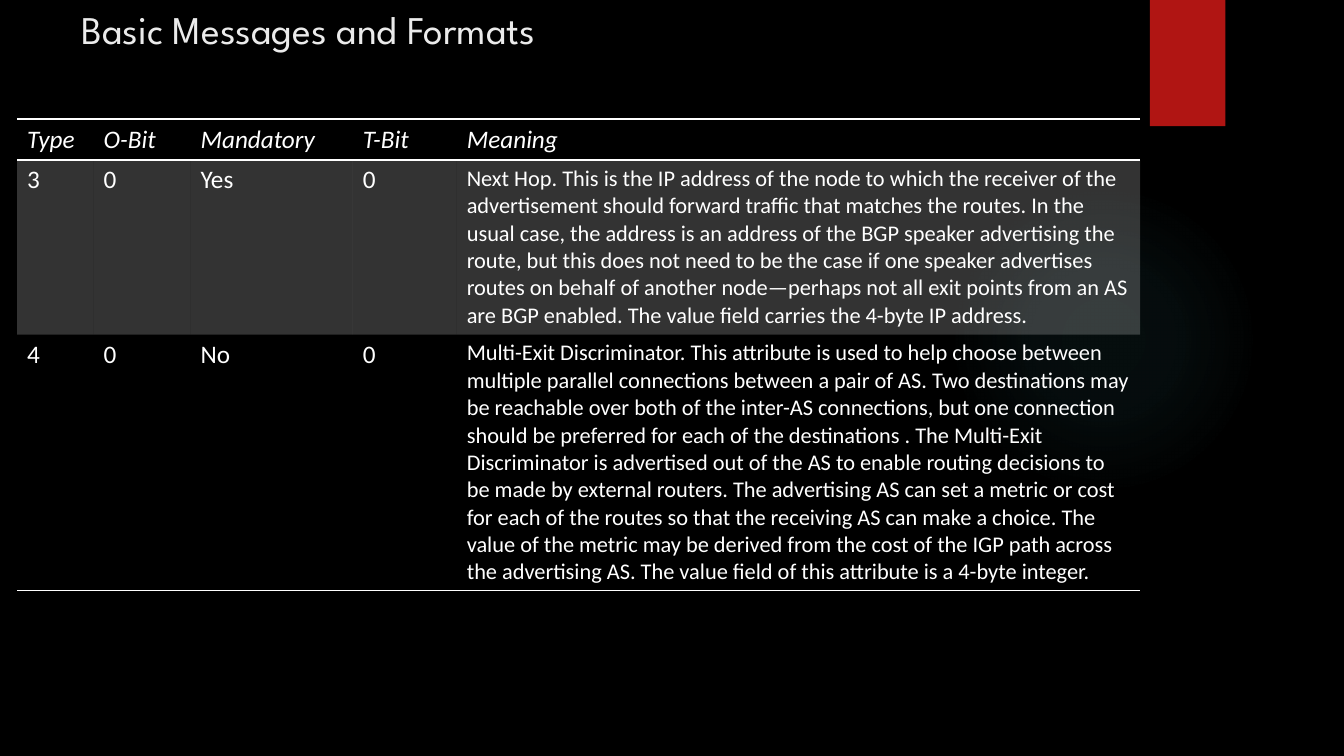
import lxml.etree
import pptx
import pptx.dml.color
import pptx.enum.shapes
import pptx.enum.text
import pptx.oxml
import pptx.oxml.ns
import pptx.util

Cm = pptx.util.Cm
qn = pptx.oxml.ns.qn

WHITE = "FFFFFF"
TEAL = "50B9C1"
COLUMN_WIDTHS = [1.93, 2.44, 4.09, 2.62, 17.22]
ROW_HEIGHTS = [1.03, 4.4, 6.45]
ROWS = [
    ["Type", "O-Bit", "Mandatory", "T-Bit", "Meaning"],
    ["3", "0", "Yes", "0",
     "Next Hop. This is the IP address of the node to which the receiver of the "
     "advertisement should forward traffic that matches the routes. In the usual case, "
     "the address is an address of the BGP speaker advertising the route, but this does "
     "not need to be the case if one speaker advertises routes on behalf of another "
     "node—perhaps not all exit points from an AS are BGP enabled. The value field "
     "carries the 4-byte IP address."],
    ["4", "0", "No", "0",
     "Multi-Exit Discriminator. This attribute is used to help choose between multiple "
     "parallel connections between a pair of AS. Two destinations may be reachable over "
     "both of the inter-AS connections, but one connection should be preferred for each "
     "of the destinations . The Multi-Exit Discriminator is advertised out of the AS to "
     "enable routing decisions to be made by external routers. The advertising AS can set "
     "a metric or cost for each of the routes so that the receiving AS can make a choice. "
     "The value of the metric may be derived from the cost of the IGP path across the "
     "advertising AS. The value field of this attribute is a 4-byte integer."],
]


def color(value):
    return pptx.dml.color.RGBColor.from_string(value)


def write_text(text_frame, text, font="Calibri", size=18, fill=WHITE, italic=False):
    run = text_frame.paragraphs[0].add_run()
    run.text = text
    run.font.name = font
    run.font.size = pptx.util.Pt(size)
    run.font.color.rgb = color(fill)
    run.font.italic = italic
    run.font.bold = False


def add_plain_shape(slide, kind, left, top, width, height, fill):
    shape = slide.shapes.add_shape(kind, Cm(left), Cm(top), Cm(width), Cm(height))
    shape.shadow.inherit = False
    shape.line.fill.background()
    shape.fill.solid()
    shape.fill.fore_color.rgb = color(fill)
    return shape


def add_glow(slide):
    glow = add_plain_shape(slide, pptx.enum.shapes.MSO_SHAPE.OVAL, 23.9, 4.65, 7.82, 7.82, TEAL)
    stops = "".join(
        f'<a:gs pos="{position * 1000}"><a:srgbClr val="{TEAL}">'
        f'<a:alpha val="{opacity * 1000}"/></a:srgbClr></a:gs>'
        for position, opacity in [(0, 7), (36, 6), (69, 0), (100, 0)]
    )
    gradient = pptx.oxml.parse_xml(
        f'<a:gradFill {pptx.oxml.ns.nsdecls("a")}><a:gsLst>{stops}</a:gsLst>'
        '<a:path path="circle"><a:fillToRect l="50000" t="50000" r="50000" b="50000"/></a:path>'
        "</a:gradFill>"
    )
    properties = glow.element.spPr
    properties.replace(properties.find(qn("a:solidFill")), gradient)


def add_title(slide, text):
    box = slide.shapes.add_textbox(Cm(1.8), Cm(0), Cm(26.14), Cm(2.36))
    box.text_frame.word_wrap = True
    box.text_frame.vertical_anchor = pptx.enum.text.MSO_ANCHOR.TOP
    write_text(box.text_frame, text, font="League Spartan", size=28, fill="EBEBEB")


def set_borders(cell, visible):
    properties = cell._tc.get_or_add_tcPr()
    for index, side in enumerate("LRTB"):
        line = lxml.etree.Element(qn(f"a:ln{side}"), w="12700")
        if side in visible:
            paint = lxml.etree.SubElement(line, qn("a:solidFill"))
            lxml.etree.SubElement(paint, qn("a:srgbClr"), val=WHITE)
        else:
            lxml.etree.SubElement(line, qn("a:noFill"))
        properties.insert(index, line)


def fill_cell(cell, shaded):
    if not shaded:
        cell.fill.background()
        return
    cell.fill.solid()
    cell.fill.fore_color.rgb = color(WHITE)
    paint = cell._tc.tcPr.find(qn("a:solidFill"))[0]
    lxml.etree.SubElement(paint, qn("a:alpha"), val="20000")


def add_attribute_table(slide):
    frame = slide.shapes.add_table(
        len(ROWS), len(COLUMN_WIDTHS), Cm(0.43), Cm(3),
        Cm(sum(COLUMN_WIDTHS)), Cm(sum(ROW_HEIGHTS)),
    )
    table = frame.table
    table.first_row = False
    table.horz_banding = False
    for column, width in zip(table.columns, COLUMN_WIDTHS):
        column.width = Cm(width)
    for row, height in zip(table.rows, ROW_HEIGHTS):
        row.height = Cm(height)
    borders = ["TB", "T", "B"]
    for row_index, texts in enumerate(ROWS):
        header = row_index == 0
        for column_index, text in enumerate(texts):
            cell = table.cell(row_index, column_index)
            long_text = not header and column_index == len(texts) - 1
            write_text(cell.text_frame, text, size=16 if long_text else 18, italic=header)
            fill_cell(cell, shaded=row_index == 1)
            set_borders(cell, borders[row_index])


def main():
    presentation = pptx.Presentation()
    presentation.slide_width = Cm(33.87)
    presentation.slide_height = Cm(19.05)
    slide = presentation.slides.add_slide(presentation.slide_layouts[6])
    slide.background.fill.solid()
    slide.background.fill.fore_color.rgb = color("000000")
    add_glow(slide)
    add_plain_shape(slide, pptx.enum.shapes.MSO_SHAPE.RECTANGLE, 28.98, 0, 1.9, 3.18, "B01513")
    add_title(slide, "Basic Messages and Formats")
    add_attribute_table(slide)
    presentation.save("out.pptx")


if __name__ == "__main__":
    main()
